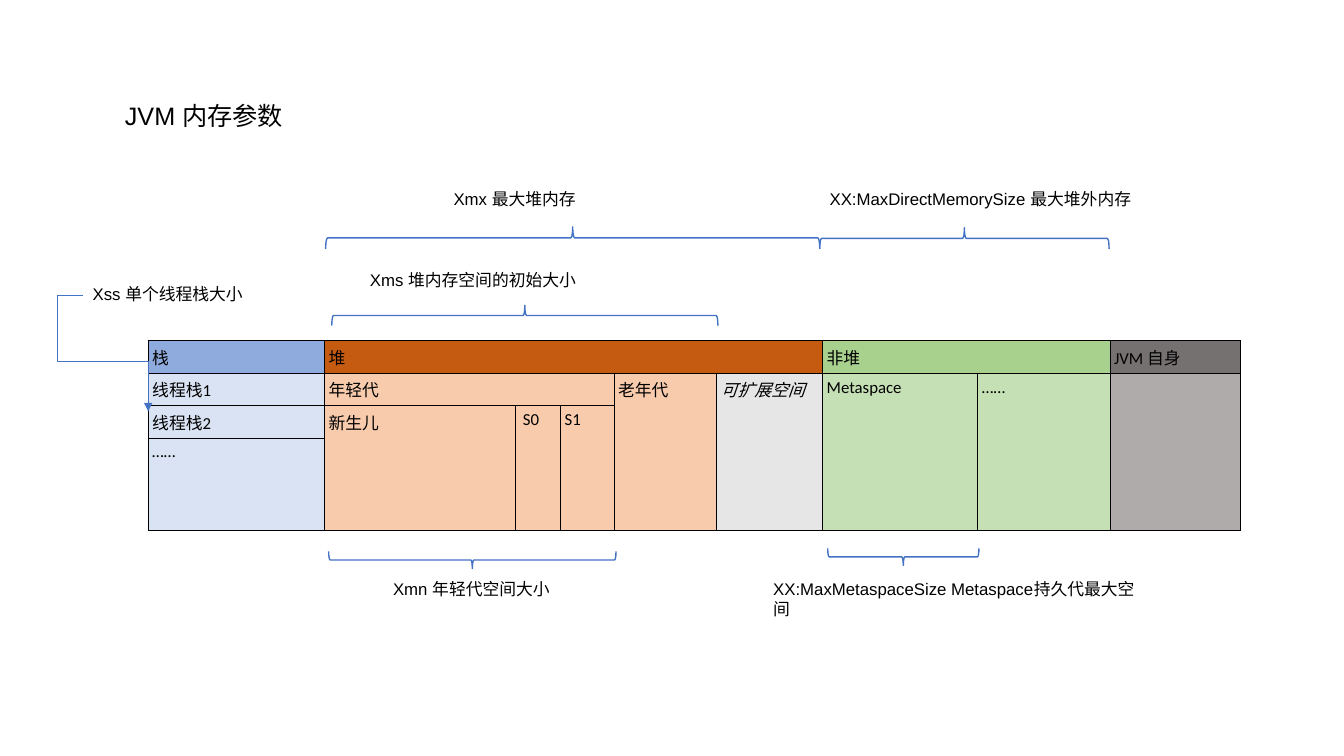
import pptx
import pptx.dml.color
import pptx.enum.shapes
import pptx.oxml
import pptx.oxml.ns
import pptx.util

Inches = pptx.util.Inches
Pt = pptx.util.Pt
BLUE = "4472C4"
BLACK = "000000"
COLUMNS = [1.75, 1.89, 0.45, 0.53, 1.02, 1.05, 1.54, 1.31, 1.29]
ROWS = [0.32, 0.32, 0.32, 0.92]

# row, column, row span, column span, text, fill
AREAS = [
    (0, 0, 1, 1, "栈", "8FAADC"),
    (0, 1, 1, 5, "堆", "C55A11"),
    (0, 6, 1, 2, "非堆", "A9D18E"),
    (0, 8, 1, 1, "JVM 自身", "767171"),
    (1, 0, 1, 1, "线程栈1", "DAE3F3"),
    (2, 0, 1, 1, "线程栈2", "DAE3F3"),
    (3, 0, 1, 1, "……", "DAE3F3"),
    (1, 1, 1, 3, "年轻代", "F8CBAD"),
    (2, 1, 2, 1, "新生儿", "F8CBAD"),
    (2, 2, 2, 1, "\u00a0S0", "F8CBAD"),
    (2, 3, 2, 1, "S1", "F8CBAD"),
    (1, 4, 3, 1, "老年代", "F8CBAD"),
    (1, 5, 3, 1, "可扩展空间", "E7E6E6"),
    (1, 6, 3, 1, "Metaspace", "C5E0B4"),
    (1, 7, 3, 1, "……", "C5E0B4"),
    (1, 8, 3, 1, "", "AFABAB"),
]

BRACES = [
    (3.29, 7.12, 3.03, 0.2, 90),
    (3.23, 8.13, 2.25, 0.22, 90),
    (8.13, 11.0, 2.26, 0.21, 90),
    (3.26, 6.11, 5.47, 0.17, 270),
    (8.21, 9.71, 5.44, 0.17, 270),
]

LABELS = [
    (1.14, 0.95, 1.78, 0.4, "JVM 内存参数", 18),
    (3.57, 2.63, 2.27, 0.3, "Xms 堆内存空间的初始大小", 12),
    (4.4, 1.82, 1.43, 0.3, "Xmx 最大堆内存", 12),
    (3.8, 5.69, 1.77, 0.3, "Xmn 年轻代空间大小", 12),
    (0.82, 2.77, 1.71, 0.3, "Xss 单个线程栈大小", 12),
    (7.57, 5.69, 3.92, 0.3, "XX:MaxMetaspaceSize Metaspace持久代最大空间", 12),
    (8.13, 1.82, 3.22, 0.3, "XX:MaxDirectMemorySize 最大堆外内存", 12),
]


def color(value):
    return pptx.dml.color.RGBColor.from_string(value)


def add_run(paragraph, text, size, font):
    run = paragraph.add_run()
    run.text = text
    run.font.size = Pt(size)
    run.font.name = font
    run.font.color.rgb = color(BLACK)
    return run


def add_label(slide, left, top, width, height, text, size):
    label = slide.shapes.add_textbox(
        Inches(left), Inches(top), Inches(width), Inches(height))
    label.text_frame.word_wrap = True
    add_run(label.text_frame.paragraphs[0], text, size, "Arial")


def add_brace(slide, left, right, top, depth, rotation):
    length = right - left
    brace = slide.shapes.add_shape(
        pptx.enum.shapes.MSO_SHAPE.LEFT_BRACE,
        Inches((left + right - depth) / 2), Inches(top + (depth - length) / 2),
        Inches(depth), Inches(length))
    brace.rotation = rotation
    brace.shadow.inherit = False
    brace.fill.background()
    brace.line.color.rgb = color(BLUE)
    brace.line.width = Pt(1)


def style_cell(cell, fill):
    cell.margin_left = cell.margin_right = Inches(0.04)
    cell.margin_top = cell.margin_bottom = Inches(0.04)
    properties = cell._tc.get_or_add_tcPr()
    for side in ("lnL", "lnR", "lnT", "lnB"):
        properties.append(pptx.oxml.parse_xml(
            f'<a:{side} {pptx.oxml.ns.nsdecls("a")} w="{Pt(0.75)}"><a:solidFill>'
            f'<a:srgbClr val="{BLACK}"/></a:solidFill></a:{side}>'))
    cell.fill.solid()
    cell.fill.fore_color.rgb = color(fill)
    paragraph = cell.text_frame.paragraphs[0]
    paragraph._p.get_or_add_endParaRPr().set("sz", "1200")


def add_memory_table(slide):
    memory = slide.shapes.add_table(
        len(ROWS), len(COLUMNS), Inches(1.47), Inches(3.38),
        Inches(sum(COLUMNS)), Inches(sum(ROWS))).table
    memory.first_row = memory.horz_banding = False
    for column, width in zip(memory.columns, COLUMNS):
        column.width = Inches(width)
    for row, height in zip(memory.rows, ROWS):
        row.height = Inches(height)
    for top, left, down, across, text, fill in AREAS:
        for row in range(top, top + down):
            for column in range(left, left + across):
                style_cell(memory.cell(row, column), fill)
        area = memory.cell(top, left)
        if down * across > 1:
            area.merge(memory.cell(top + down - 1, left + across - 1))
        if text:
            run = add_run(area.text_frame.paragraphs[0], text, 12, "Calibri")
            run.font.italic = text == "可扩展空间"


def add_stack_arrow(slide):
    arrow = slide.shapes.add_connector(
        pptx.enum.shapes.MSO_CONNECTOR.ELBOW,
        Inches(0.82), Inches(2.93), Inches(1.47), Inches(4.08))
    arrow.line.color.rgb = color(BLUE)
    arrow.line.width = Pt(0.5)
    namespace = pptx.oxml.ns.nsdecls("a")
    properties = arrow._element.spPr
    geometry = properties.find(pptx.oxml.ns.qn("a:prstGeom"))
    properties.replace(geometry, pptx.oxml.parse_xml(
        f'<a:prstGeom {namespace} prst="bentConnector4"><a:avLst>'
        '<a:gd name="adj1" fmla="val -38400"/><a:gd name="adj2" fmla="val 56600"/>'
        '</a:avLst></a:prstGeom>'))
    properties.find(pptx.oxml.ns.qn("a:ln")).append(
        pptx.oxml.parse_xml(f'<a:tailEnd {namespace} type="triangle"/>'))
    properties.append(pptx.oxml.parse_xml(f'<a:effectLst {namespace}/>'))


def main():
    deck = pptx.Presentation()
    deck.slide_width = Inches(13.33)
    deck.slide_height = Inches(7.5)
    slide = deck.slides.add_slide(deck.slide_layouts[6])
    add_memory_table(slide)
    for brace in BRACES:
        add_brace(slide, *brace)
    add_stack_arrow(slide)
    for label in LABELS:
        add_label(slide, *label)
    deck.save("out.pptx")


main()
